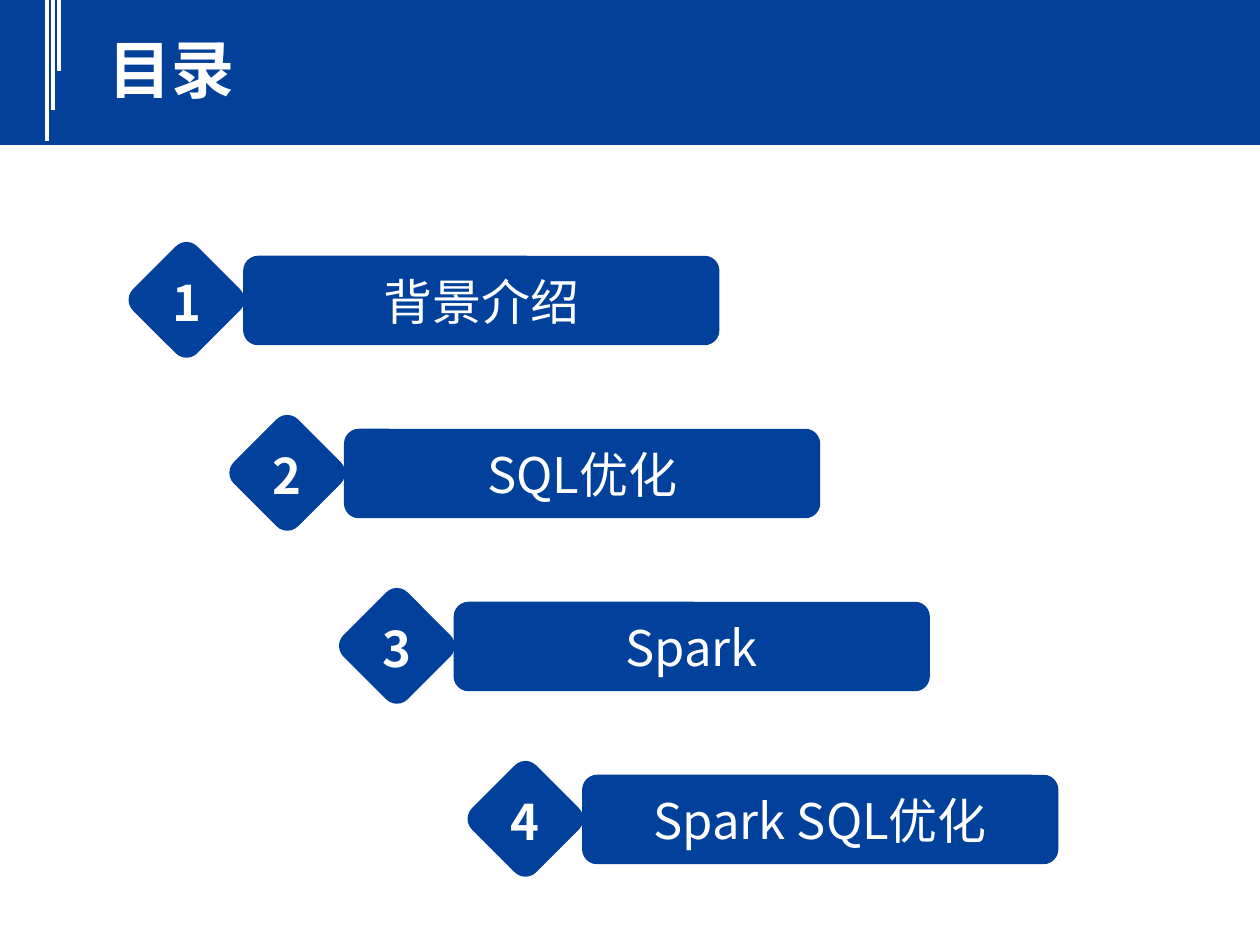
from lxml import etree
from pptx import Presentation
from pptx import util as u
from pptx.dml.color import RGBColor
from pptx.enum import shapes, text
from pptx.oxml import ns

BAND_BLUE = RGBColor(0x02, 0x40, 0x9A)
ITEM_BLUE = RGBColor(0x01, 0x40, 0x9B)
WHITE = RGBColor(0xFF, 0xFF, 0xFF)
FONT = "Noto Sans CJK SC"

STRIPE_LEFT, STRIPE_STEP = 0.37, 0.05
STRIPE_ENDS = (1.12, 0.87, 0.56)

FIRST_ROW, ROW_STEP = 2.02, 1.373
DIAMOND, BAR_OFFSET = 0.72, 0.81
BAR_WIDTH, BAR_HEIGHT = 3.78, 0.71
ENTRIES = (
    (1.12, "背景介绍"),
    (1.92, "SQL优化"),
    (2.79, "Spark"),
    (3.81, "Spark SQL优化"),
)


def inches(*lengths):
    return [u.Inches(length) for length in lengths]


def write(frame, wording, size, bold=False, align=text.PP_ALIGN.CENTER):
    frame.word_wrap = True
    frame.auto_size = text.MSO_AUTO_SIZE.NONE
    paragraph = frame.paragraphs[0]
    paragraph.text = wording
    paragraph.alignment = align
    font = paragraph.font
    font.name = FONT
    font.size = u.Pt(size)
    font.bold = bold
    font.color.rgb = WHITE
    latin = paragraph._p.find(".//" + ns.qn("a:latin"))
    east_asian = etree.Element(ns.qn("a:ea"), typeface=FONT)
    latin.addnext(east_asian)


def add_block(parent, preset, box, color):
    block = parent.add_shape(preset, *inches(*box))
    block.shadow.inherit = False
    block.fill.solid()
    block.fill.fore_color.rgb = color
    block.line.fill.background()
    return block


def add_stripe(slide, x, end):
    stripe = slide.shapes.add_connector(
        shapes.MSO_CONNECTOR.STRAIGHT, *inches(x, 0, x, end))
    stripe.line.color.rgb = WHITE
    stripe.line.width = u.Pt(2.25)
    etree.SubElement(stripe._element.spPr, ns.qn("a:effectLst"))


def add_header(slide):
    add_block(slide.shapes, shapes.MSO_SHAPE.RECTANGLE, (0, 0, 10, 1.15), BAND_BLUE)
    for column, end in enumerate(STRIPE_ENDS):
        add_stripe(slide, STRIPE_LEFT + column * STRIPE_STEP, end)
    title = slide.shapes.title
    title.left, title.top, title.width, title.height = inches(0.76, 0.19, 1.62, 0.71)
    title.text_frame.vertical_anchor = text.MSO_ANCHOR.TOP
    write(title.text_frame, "目录", 36, True, text.PP_ALIGN.LEFT)
    slide.shapes._spTree.append(title._element)


def add_entry(slide, number, left, wording):
    top = FIRST_ROW + (number - 1) * ROW_STEP
    rounded = shapes.MSO_SHAPE.ROUNDED_RECTANGLE
    entry = slide.shapes.add_group_shape().shapes

    diamond = add_block(entry, rounded, (left, top, DIAMOND, DIAMOND), ITEM_BLUE)
    diamond.rotation = 45

    bar = add_block(entry, rounded,
                    (left + BAR_OFFSET, top + 0.01, BAR_WIDTH, BAR_HEIGHT), ITEM_BLUE)
    bar.text_frame.vertical_anchor = text.MSO_ANCHOR.MIDDLE
    write(bar.text_frame, wording, 28)

    numeral = entry.add_textbox(*inches(left, top + 0.09, DIAMOND, 0.57))
    write(numeral.text_frame, str(number), 28, True)


def main():
    deck = Presentation()
    deck.slide_width, deck.slide_height = inches(10, 7.5)
    slide = deck.slides.add_slide(deck.slide_layouts[5])
    add_header(slide)
    for number, (left, wording) in enumerate(ENTRIES, 1):
        add_entry(slide, number, left, wording)
    deck.save("out.pptx")


if __name__ == "__main__":
    main()
